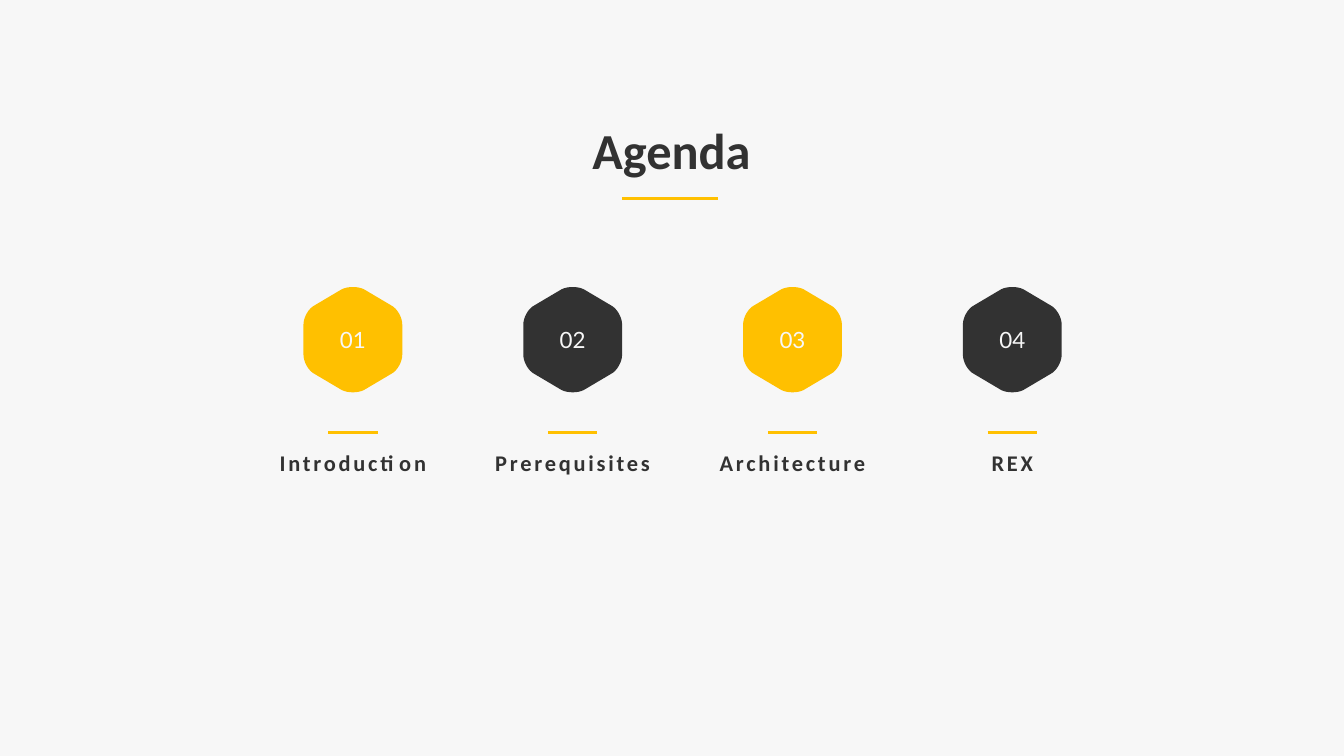
from dataclasses import dataclass

from lxml import etree
from pptx import Presentation
from pptx.dml.color import RGBColor
from pptx.enum import shapes, text
from pptx.oxml import ns
from pptx.util import Inches, Pt

YELLOW, DARK, LIGHT = "FFC000", "323232", "F7F7F7"
FIRST_CENTER, PITCH = 3.5, 2.18
HEXAGON_MIDDLE = 3.37
RULE_TOP, LABEL_TOP = 4.29, 4.51
LABEL_WIDTH, LABEL_HEIGHT = 1.92, 0.22
RULE_WIDTH = 0.49
TOP_CORNER = [(-0.11, -0.5), (-0.05, -0.53), (0.05, -0.53), (0.11, -0.5)]
RIGHT_CORNER = [(0.38, -0.34), (0.44, -0.31), (0.49, -0.22), (0.49, -0.15)]


@dataclass(frozen=True)
class AgendaItem:
    label: str
    color: str


ITEMS = (
    AgendaItem("Introduction", YELLOW),
    AgendaItem("Prerequisites", DARK),
    AgendaItem("Architecture", YELLOW),
    AgendaItem("REX", DARK),
)


def rgb(value: str) -> RGBColor:
    return RGBColor.from_string(value)


def hexagon_points() -> list:
    left_corner = [(-x, y) for x, y in reversed(RIGHT_CORNER)]
    upper = left_corner + TOP_CORNER + RIGHT_CORNER
    return upper + [(-x, -y) for x, y in upper]


def round_corners(hexagon) -> None:
    outline = next(hexagon._element.iter(ns.qn("a:path")))
    segments = list(outline)[1:-1]
    for first in range(0, len(segments), 4):
        curve = etree.Element(ns.qn("a:cubicBezTo"))
        segments[first].addprevious(curve)
        for segment in segments[first:first + 3]:
            curve.append(segment[0])
            outline.remove(segment)


def write(box, content: str, font: str, size: float, color: str, bold: bool = False):
    frame = box.text_frame
    frame.text = content
    para = frame.paragraphs[0]
    para.alignment = text.PP_ALIGN.CENTER
    para.font.name = font
    para.font.size = Pt(size)
    para.font.bold = bold
    para.font.color.rgb = rgb(color)
    return para


def clear_margins(box) -> None:
    frame = box.text_frame
    frame.margin_left = frame.margin_right = 0
    frame.margin_top = frame.margin_bottom = 0


def add_rule(page, left: float, top: float, width: float, weight: float) -> None:
    rule = page.shapes.add_connector(
        shapes.MSO_CONNECTOR.STRAIGHT,
        Inches(left), Inches(top), Inches(left + width), Inches(top),
    )
    rule.line.color.rgb = rgb(YELLOW)
    rule.line.width = Pt(weight)
    etree.SubElement(rule._element.spPr, ns.qn("a:effectLst"))


def add_hexagon(page, center: float, number: str, color: str) -> None:
    points = [
        (Inches(center + x), Inches(HEXAGON_MIDDLE + y)) for x, y in hexagon_points()
    ]
    builder = page.shapes.build_freeform(*points[0])
    builder.add_line_segments(points[1:], close=True)
    hexagon = builder.convert_to_shape()
    round_corners(hexagon)
    hexagon.shadow.inherit = False
    hexagon.fill.solid()
    hexagon.fill.fore_color.rgb = rgb(color)
    hexagon.line.fill.background()
    clear_margins(hexagon)
    hexagon.text_frame.vertical_anchor = text.MSO_ANCHOR.MIDDLE
    write(hexagon, number, "Lato", 16, LIGHT)


def add_label(page, center: float, label: str) -> None:
    box = page.shapes.add_textbox(
        Inches(center - LABEL_WIDTH / 2), Inches(LABEL_TOP),
        Inches(LABEL_WIDTH), Inches(LABEL_HEIGHT),
    )
    clear_margins(box)
    box.text_frame.word_wrap = True
    box.text_frame.auto_size = text.MSO_AUTO_SIZE.SHAPE_TO_FIT_TEXT
    para = write(box, label, "Calibri", 16, DARK, bold=True)
    para.line_spacing = 0.8
    para._p.pPr.find(ns.qn("a:defRPr")).set("spc", "200")


def add_title(page) -> None:
    title = page.shapes.title
    title.left, title.top = Inches(3.55), Inches(1.13)
    title.width, title.height = Inches(6.22), Inches(0.71)
    title.text_frame.vertical_anchor = text.MSO_ANCHOR.TOP
    title.text_frame.auto_size = text.MSO_AUTO_SIZE.SHAPE_TO_FIT_TEXT
    write(title, "Agenda", "Calibri", 36, DARK, bold=True)
    add_rule(page, 6.17, 1.97, 0.95, 2.25)


def main() -> None:
    deck = Presentation()
    deck.slide_width, deck.slide_height = Inches(13.33), Inches(7.5)
    page = deck.slides.add_slide(deck.slide_layouts.get_by_name("Title Only"))
    page.background.fill.solid()
    page.background.fill.fore_color.rgb = rgb(LIGHT)
    add_title(page)
    for index, item in enumerate(ITEMS):
        center = FIRST_CENTER + index * PITCH
        add_hexagon(page, center, f"{index + 1:02}", item.color)
        add_label(page, center, item.label)
        add_rule(page, center - RULE_WIDTH / 2, RULE_TOP, RULE_WIDTH, 2)
    deck.save("out.pptx")


if __name__ == "__main__":
    main()
